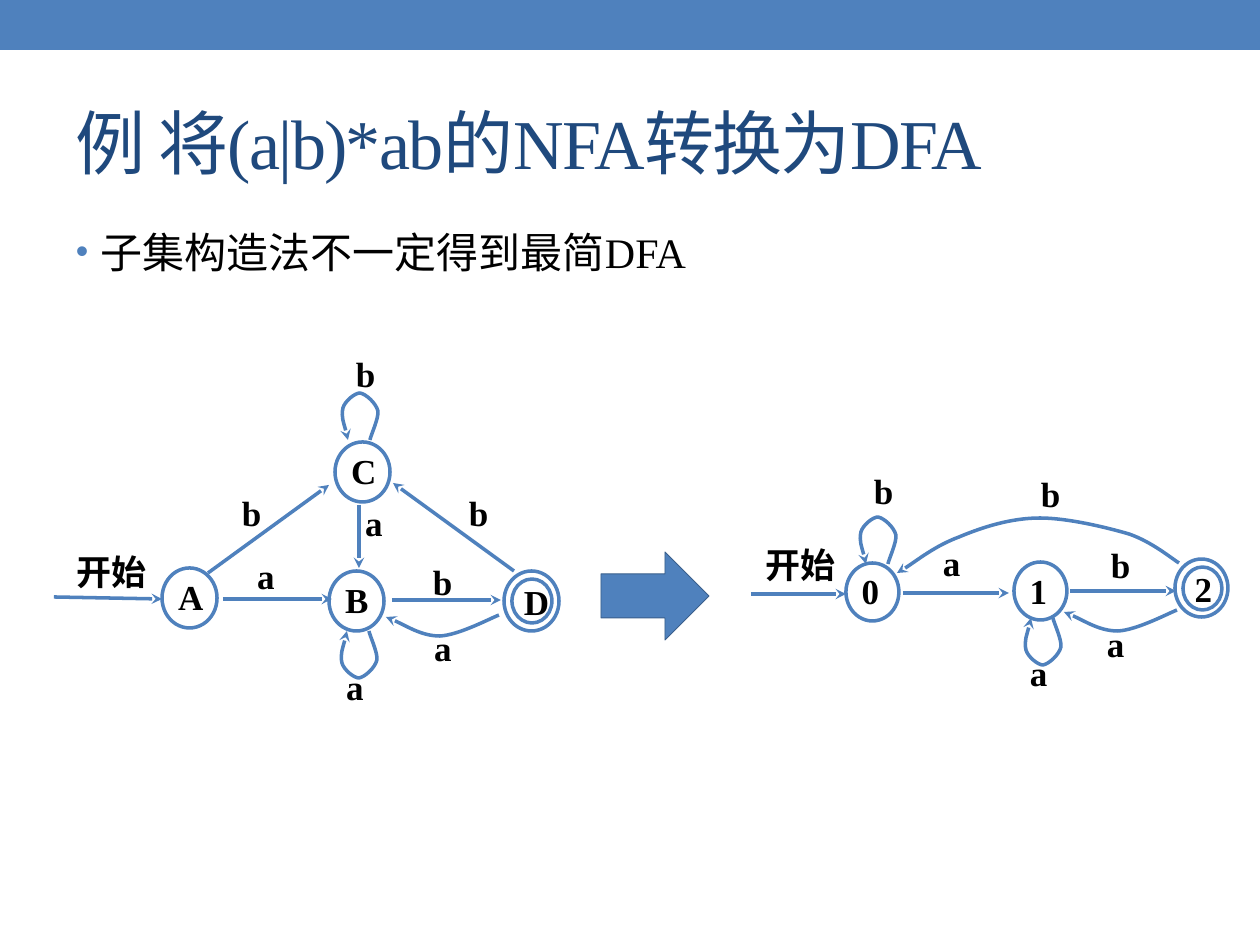
import dataclasses

import pptx
import pptx.dml.color
import pptx.enum.shapes
import pptx.enum.text
import pptx.oxml.ns
import pptx.oxml.xmlchemy
import pptx.util
import lxml.etree

SCALE = 914400 / 126
qn = pptx.oxml.ns.qn
Shape = pptx.enum.shapes.MSO_SHAPE
Anchor = pptx.enum.text.MSO_ANCHOR


@dataclasses.dataclass(frozen=True)
class Theme:
    """Colours as RRGGBB, type sizes and line widths in points."""
    font: str = "Times New Roman"
    accent: str = "4F81BD"
    arrow_edge: str = "3A5F8C"
    title: str = "1F497D"
    text: str = "000000"
    title_size: int = 40
    body_size: int = 24
    label_size: int = 20
    line: int = 2


theme = Theme()
color = pptx.dml.color.RGBColor.from_string


def write(shape, text, size, ink, insets, bold=False, anchor=Anchor.TOP):
    """Write one left-aligned run; insets are left, top, right, bottom pixels."""
    frame = shape.text_frame
    frame.word_wrap = True
    frame.vertical_anchor = anchor
    (frame.margin_left, frame.margin_top,
     frame.margin_right, frame.margin_bottom) = [round(v * SCALE) for v in insets]
    paragraph = frame.paragraphs[0]
    paragraph.alignment = pptx.enum.text.PP_ALIGN.LEFT
    run = paragraph.add_run()
    run.text = text
    run.font.name = theme.font
    run.font.size = pptx.util.Pt(size)
    run.font.bold = bold
    run.font.color.rgb = color(ink)
    return paragraph, run


def style_arrow(shape):
    """Give a line or curve the accent stroke, a stealth head and no shadow."""
    shape.line.color.rgb = color(theme.accent)
    shape.line.width = pptx.util.Pt(theme.line)
    stroke = shape.line._get_or_add_ln()
    lxml.etree.SubElement(stroke, qn("a:tailEnd"), type="stealth")
    properties = shape._element.spPr
    if properties.find(qn("a:effectLst")) is None:
        lxml.etree.SubElement(properties, qn("a:effectLst"))


presentation = pptx.Presentation()
presentation.slide_width = pptx.util.Inches(10)
presentation.slide_height = pptx.util.Inches(7.5)
slide = presentation.slides.add_slide(presentation.slide_layouts[6])
shapes = slide.shapes

# Header band and block arrow
for kind, box, edge in [
    (Shape.RECTANGLE, (0, 0, 1260, 50), None),
    (Shape.RIGHT_ARROW, (601, 552, 108, 88), theme.arrow_edge),
]:
    block = shapes.add_shape(kind, *[round(v * SCALE) for v in box])
    block.shadow.inherit = False
    block.fill.solid()
    block.fill.fore_color.rgb = color(theme.accent)
    if edge:
        block.line.color.rgb = color(edge)
        block.line.width = pptx.util.Pt(0.5)
    else:
        block.line.fill.background()

# Title and bullet
title = shapes.add_textbox(*[round(v * SCALE) for v in (63, 73, 1134, 136)])
paragraph, run = write(title, "例 将(a|b)*ab的NFA转换为DFA", theme.title_size,
                       theme.title, (13, 6, 13, 6), anchor=Anchor.MIDDLE)
run.font._element.set("spc", "-100")

body = shapes.add_textbox(*[round(v * SCALE) for v in (63, 220, 1134, 672)])
paragraph, run = write(body, "子集构造法不一定得到最简DFA", theme.body_size,
                       theme.text, (13, 6, 13, 6))
paragraph.space_before = pptx.util.Pt(theme.body_size * 0.2)
properties = paragraph._p.get_or_add_pPr()
indent = round(25 * SCALE)
properties.set("marL", str(indent))
properties.set("indent", str(-indent))
bullet_color = lxml.etree.SubElement(properties, qn("a:buClr"))
lxml.etree.SubElement(bullet_color, qn("a:srgbClr"), val=theme.accent)
lxml.etree.SubElement(properties, qn("a:buSzPct"), val="85000")
lxml.etree.SubElement(properties, qn("a:buFont"), typeface="Arial")
lxml.etree.SubElement(properties, qn("a:buChar"), char="•")

# States: name, left, top, width, height; accepting states get an inner ring
STATE_INSETS, RING_INSETS = (8, 4, 3, 6), (6, 0, 1, 0)
rings = [
    ("A", 162, 568, 55, 60, STATE_INSETS), ("B", 329, 571, 55, 60, STATE_INSETS),
    ("C", 335, 442, 55, 60, STATE_INSETS), ("", 504, 571, 55, 60, STATE_INSETS),
    ("D", 512, 579, 40, 44, RING_INSETS), ("0", 846, 563, 53, 58, STATE_INSETS),
    ("1", 1014, 562, 53, 58, STATE_INSETS), ("", 1175, 559, 53, 58, STATE_INSETS),
    ("2", 1183, 567, 39, 43, RING_INSETS),
]
for name, *box, insets in rings:
    ring = shapes.add_shape(Shape.OVAL, *[round(v * SCALE) for v in box])
    ring.shadow.inherit = False
    ring.fill.background()
    ring.line.color.rgb = color(theme.accent)
    ring.line.width = pptx.util.Pt(theme.line)
    if name:
        write(ring, name, theme.label_size, theme.text, insets, True, Anchor.MIDDLE)

# Straight transitions
for ends in [
    (54, 597, 162, 599), (223, 599, 332, 599), (392, 600, 501, 600),
    (208, 573, 329, 485), (359, 505, 359, 568), (514, 571, 393, 483),
    (751, 594, 846, 594), (903, 593, 1009, 593), (1070, 591, 1176, 591),
]:
    transition = shapes.add_connector(pptx.enum.shapes.MSO_CONNECTOR.STRAIGHT,
                                      *[round(v * SCALE) for v in ends])
    style_arrow(transition)

# Curved transitions: a start point, then Bezier control points in threes
LOOP = [(10, 47), (11, 42), (19, 25), (18, 18), (16, 10), (6, 1), (0, 0),
        (-5, 0), (-15, 8), (-17, 15), (-19, 24), (-13, 40), (-12, 47)]
RETURN = [(0, 0), (-10, 4), (-40, 20), (-59, 21), (-77, 21), (-101, 6), (-113, 2)]
curves = [[(1179, 563), (1171, 558), (1152, 542), (1129, 534), (1105, 527),
           (1067, 518), (1040, 518), (1011, 518), (983, 527), (959, 537),
           (935, 546), (910, 566), (897, 573)]]
for template, left, top, flip in [
    (LOOP, 360, 393, 1), (LOOP, 359, 678, -1), (LOOP, 878, 517, 1),
    (LOOP, 1043, 665, -1), (RETURN, 499, 615, 1), (RETURN, 1177, 610, 1),
]:
    curves.append([(left + x, top + flip * y) for x, y in template])

for points in curves:
    builder = shapes.build_freeform(*points[0], scale=SCALE)
    builder.add_line_segments(points[1:], close=False)
    curve = builder.convert_to_shape()
    curve.shadow.inherit = False
    curve.fill.background()
    style_arrow(curve)
    outline = next(curve._element.iter(qn("a:moveTo"))).getparent()
    segments = outline.findall(qn("a:lnTo"))
    for first in range(0, len(segments), 3):
        bezier = lxml.etree.SubElement(outline, qn("a:cubicBezTo"))
        for segment in segments[first:first + 3]:
            bezier.append(segment[0])
            outline.remove(segment)

# Transition labels: text, left, top
for text, left, top in [
    ("开始", 69, 546), ("a", 249, 551), ("b", 425, 557), ("b", 234, 488),
    ("b", 461, 488), ("a", 357, 498), ("b", 348, 349), ("a", 338, 662),
    ("a", 426, 622), ("开始", 758, 539), ("a", 935, 538), ("b", 1103, 539),
    ("b", 866, 466), ("b", 1033, 469), ("a", 1022, 648), ("a", 1099, 619),
]:
    width = 102 if text == "开始" else 44
    label = shapes.add_textbox(*[round(v * SCALE) for v in (left, top, width, 48)])
    write(label, text, theme.label_size, theme.text, (8, 4, 8, 4), True)

presentation.save("out.pptx")
